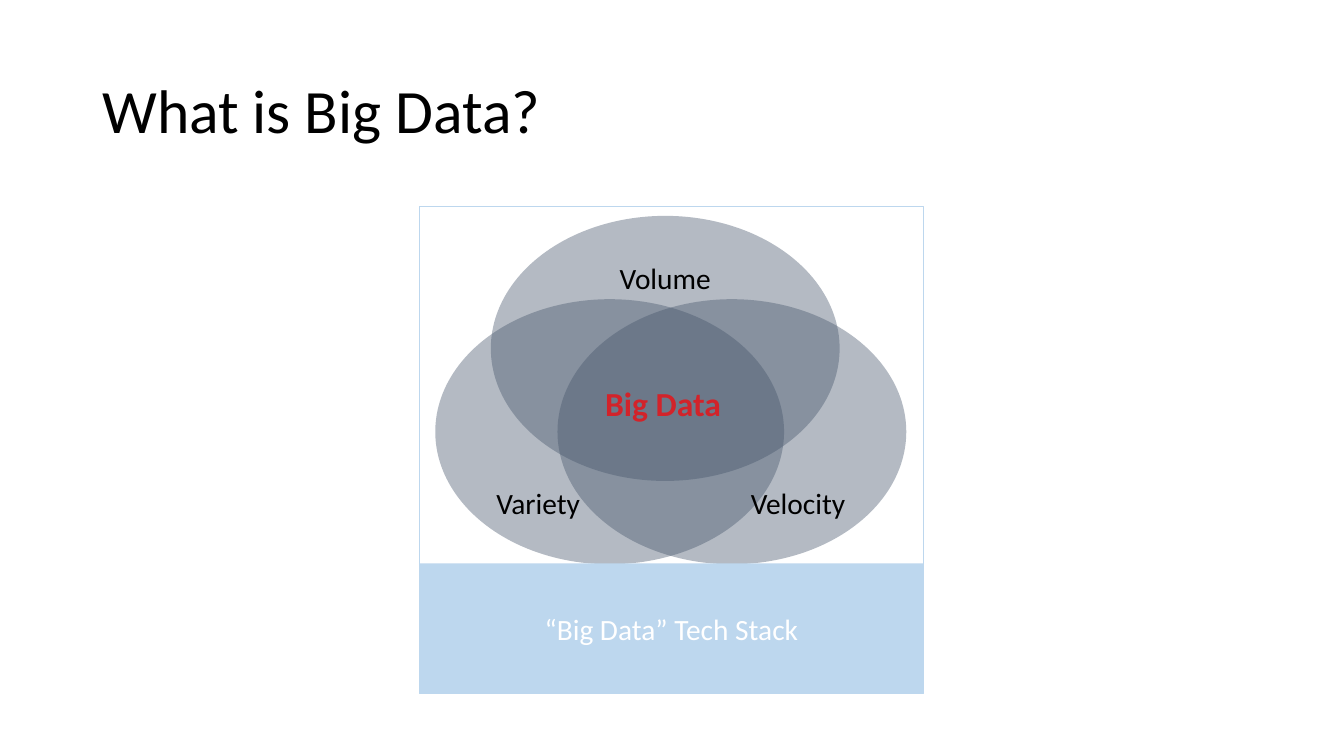
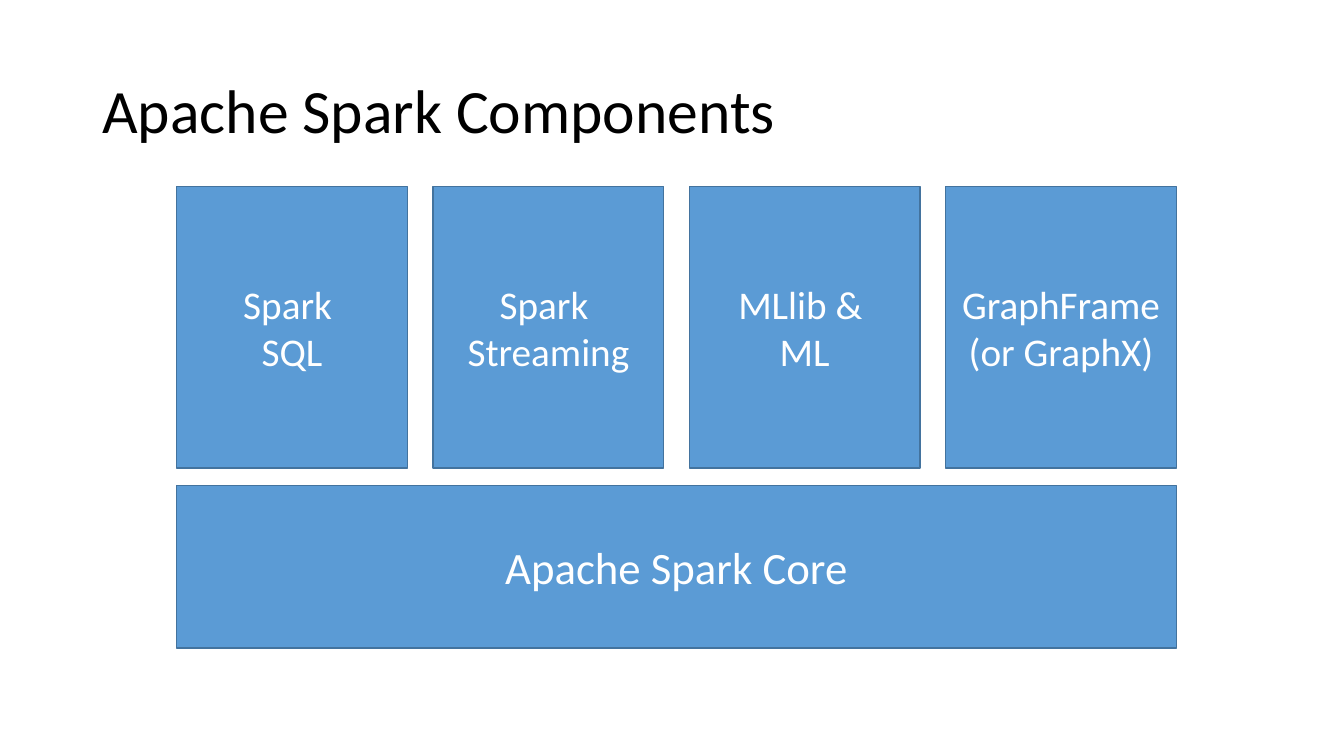
"""Build two slides: a Big Data Venn diagram and the Apache Spark components."""
import pptx
import pptx.dml.color
import pptx.enum.shapes
import pptx.enum.text
import pptx.util
from lxml import etree
from pptx.oxml.ns import qn

Cm = pptx.util.Cm
Pt = pptx.util.Pt
SHAPE = pptx.enum.shapes.MSO_SHAPE
ALIGN = pptx.enum.text.PP_ALIGN
ANCHOR = pptx.enum.text.MSO_ANCHOR

BLACK, WHITE, RED = "000000", "FFFFFF", "D2232A"
SLATE, PALE_BLUE = "44546A", "BDD7EE"
BLUE, DARK_BLUE = "5B9BD5", "43739E"


def rgb(code):
    return pptx.dml.color.RGBColor.from_string(code)


def write(shape, text, size, colour, align=ALIGN.CENTER, anchor=ANCHOR.MIDDLE, bold=False):
    frame = shape.text_frame
    frame.word_wrap = True
    frame.vertical_anchor = anchor
    frame.text = text
    for paragraph in frame.paragraphs:
        paragraph.alignment = align
        for run in paragraph.runs:
            run.font.name = "Calibri"
            run.font.size = Pt(size)
            run.font.bold = bold
            run.font.color.rgb = rgb(colour)


deck = pptx.Presentation()
deck.slide_width, deck.slide_height = Cm(33.87), Cm(19.05)

slides = []
for heading in ("What is Big Data?", "Apache Spark Components"):
    slide = deck.slides.add_slide(deck.slide_layouts[6])
    title = slide.shapes.add_textbox(Cm(2.33), Cm(1.02), Cm(29.21), Cm(3.68))
    write(title, heading, 44, BLACK, ALIGN.LEFT)
    title.text_frame.paragraphs[0].line_spacing = 0.9
    slides.append(slide)
big_data, spark = slides

venn = [
    ("Volume", 12.37, 5.44, ALIGN.CENTER, ANCHOR.TOP),
    ("Variety", 10.97, 7.54, ALIGN.LEFT, ANCHOR.BOTTOM),
    ("Velocity", 14.05, 7.54, ALIGN.RIGHT, ANCHOR.BOTTOM),
]
for label, left, top, align, anchor in venn:
    circle = big_data.shapes.add_shape(SHAPE.OVAL, Cm(left), Cm(top), Cm(8.79), Cm(6.68))
    circle.shadow.inherit = False
    circle.line.fill.background()
    circle.fill.solid()
    circle.fill.fore_color.rgb = rgb(SLATE)
    tint = circle.fill._xPr.find(qn("a:solidFill"))[0]
    etree.SubElement(tint, qn("a:alpha")).set("val", "40000")
    write(circle, label, 21, BLACK, align, anchor)

overlap = big_data.shapes.add_textbox(Cm(14.71), Cm(9.51), Cm(4), Cm(1.3))
write(overlap, "Big Data", 24, RED, bold=True)

frame_left, frame_top, frame_width, frame_height = 10.57, 5.21, 12.7, 12.27
stack_height = 3.28
stack = big_data.shapes.add_shape(
    SHAPE.RECTANGLE, Cm(frame_left), Cm(frame_top + frame_height - stack_height),
    Cm(frame_width), Cm(stack_height))
stack.shadow.inherit = False
stack.line.fill.background()
stack.fill.solid()
stack.fill.fore_color.rgb = rgb(PALE_BLUE)
write(stack, "“Big Data” Tech Stack", 21, WHITE)

border = big_data.shapes.add_shape(
    SHAPE.RECTANGLE, Cm(frame_left), Cm(frame_top), Cm(frame_width), Cm(frame_height))
border.shadow.inherit = False
border.fill.background()
border.line.color.rgb = rgb(PALE_BLUE)
border.line.width = Pt(0.5)

core_left, core_width = 4.45, 25.2
library_width = 5.82
libraries = ["Spark \vSQL", "Spark \vStreaming", "MLlib & \nML", "GraphFrame (or GraphX)"]
pitch = (core_width - library_width) / (len(libraries) - 1)
components = [("Apache Spark Core", core_left, 12.24, core_width, 4.09, 32)]
for column, library in enumerate(libraries):
    components.append((library, core_left + column * pitch, 4.7, library_width, 7.09, 28))

for label, left, top, width, height, size in components:
    component = spark.shapes.add_shape(SHAPE.RECTANGLE, Cm(left), Cm(top), Cm(width), Cm(height))
    component.shadow.inherit = False
    component.fill.solid()
    component.fill.fore_color.rgb = rgb(BLUE)
    component.line.color.rgb = rgb(DARK_BLUE)
    component.line.width = Pt(1)
    write(component, label, size, WHITE)

deck.save("out.pptx")
